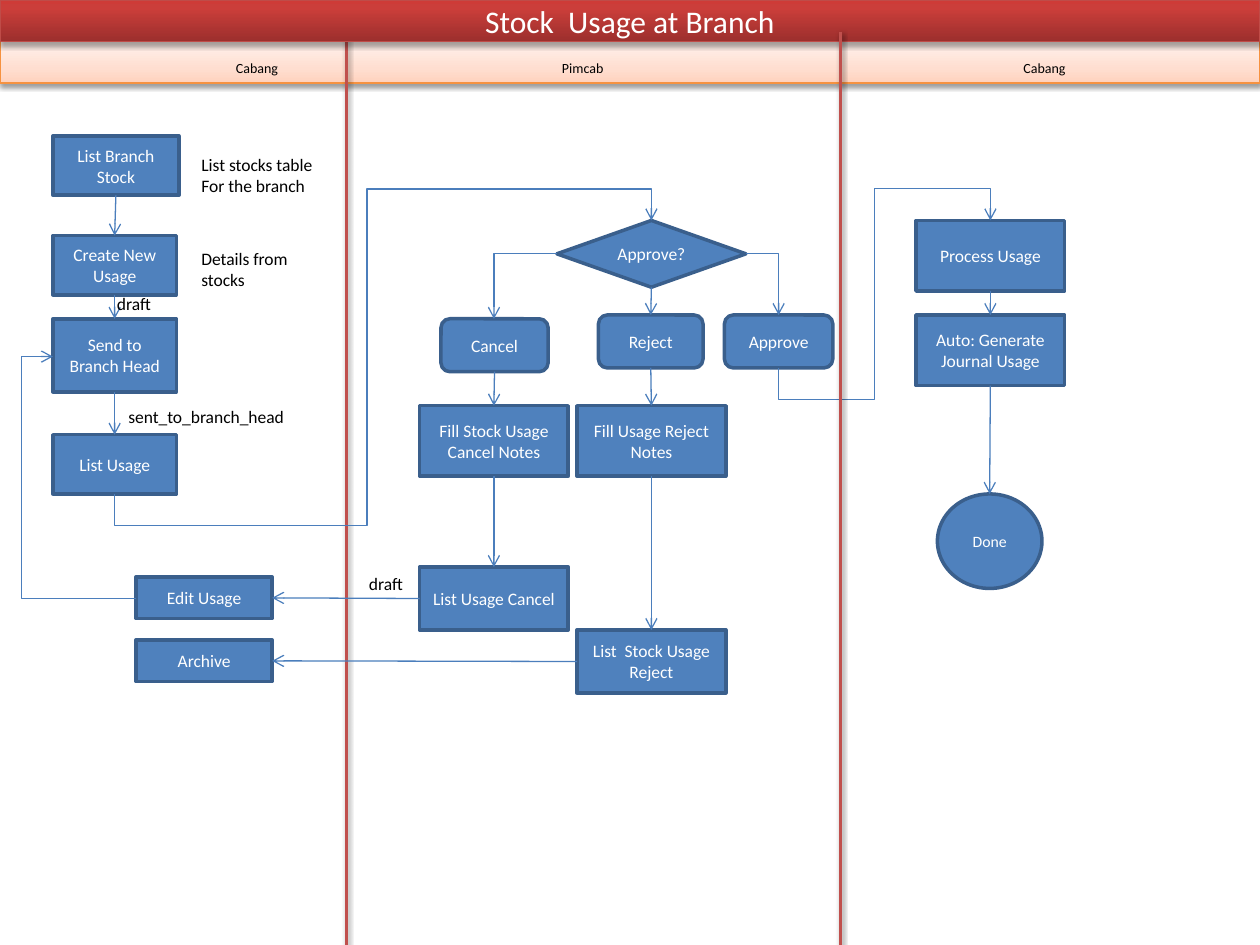
from dataclasses import dataclass

from lxml.etree import SubElement
from pptx import Presentation
from pptx.dml.color import RGBColor
from pptx.enum.shapes import MSO_CONNECTOR, MSO_SHAPE
from pptx.enum.text import MSO_ANCHOR, MSO_AUTO_SIZE, PP_ALIGN
from pptx.oxml.ns import qn
from pptx.util import Inches, Pt

FONT = "Calibri"
COLORS = {
    "white": "FFFFFF", "black": "000000", "node": "4F81BD", "node_line": "3A5F8C",
    "arrow": "4B7EBC", "divider": "C0504D", "title_line": "BF4C48", "band_line": "F69240",
}
TITLE_GRADIENT = ((0, "9C2F2D"), (80, "CB3E3A"), (100, "CE3B37"))
BAND_GRADIENT = ((0, "FFD2BD"), (35, "FFDED0"), (100, "FFF2ED"))
TOP, LEFT, BOTTOM, RIGHT = range(4)
PROCESS = MSO_SHAPE.FLOWCHART_PROCESS
CHOICE = MSO_SHAPE.FLOWCHART_ALTERNATE_PROCESS


@dataclass(frozen=True)
class Node:
    name: str
    text: str
    left: float
    top: float
    width: float
    height: float
    kind: MSO_SHAPE = PROCESS
    size: float = 10


@dataclass(frozen=True)
class Link:
    source: str
    source_side: int
    target: str
    target_side: int


@dataclass(frozen=True)
class Elbow:
    begin: tuple[float, float]
    end: tuple[float, float]
    rotation: int
    preset: str
    adjustments: tuple[float, ...] = ()


@dataclass(frozen=True)
class Label:
    text: str
    left: float
    top: float
    width: float
    height: float = 0.27
    size: float = 10
    align: PP_ALIGN = PP_ALIGN.LEFT


NODES = (
    # Branch lane
    Node("stock", "List Branch Stock", 0.42, 1.08, 1, 0.47),
    Node("create", "Create New Usage", 0.42, 1.87, 0.98, 0.47),
    Node("send", "Send to Branch Head", 0.42, 2.53, 0.98, 0.58),
    Node("usage", "List Usage", 0.42, 3.45, 0.98, 0.47),
    Node("edit", "Edit Usage", 1.08, 4.58, 1.08, 0.33),
    Node("archive", "Archive", 1.08, 5.08, 1.08, 0.33),
    # Branch head lane
    Node("decision", "Approve?", 4.42, 1.75, 1.5, 0.53, MSO_SHAPE.FLOWCHART_DECISION),
    Node("cancel", "Cancel", 3.5, 2.53, 0.85, 0.42, CHOICE),
    Node("reject", "Reject", 4.75, 2.5, 0.83, 0.42, CHOICE),
    Node("approve", "Approve", 5.75, 2.5, 0.86, 0.42, CHOICE),
    Node("cancel_notes", "Fill Stock Usage Cancel Notes", 3.33, 3.22, 1.18, 0.56),
    Node("reject_notes", "Fill Usage Reject Notes", 4.58, 3.22, 1.18, 0.56),
    Node("cancel_list", "List Usage Cancel", 3.33, 4.5, 1.18, 0.5),
    Node("reject_list", "List  Stock Usage Reject", 4.58, 5, 1.18, 0.5),
    # Processing lane
    Node("process", "Process Usage", 7.27, 1.75, 1.18, 0.56),
    Node("journal", "Auto: Generate Journal Usage", 7.27, 2.5, 1.18, 0.56),
    Node("done", "Done", 7.44, 3.92, 0.83, 0.75, MSO_SHAPE.OVAL, 9),
)
DOWNWARD = (
    ("stock", "create"), ("create", "send"), ("send", "usage"), ("decision", "reject"),
    ("cancel", "cancel_notes"), ("reject", "reject_notes"),
    ("cancel_notes", "cancel_list"), ("reject_notes", "reject_list"),
    ("process", "journal"), ("journal", "done"),
)
LEFTWARD = (("cancel_list", "edit"), ("reject_list", "archive"))
LINKS = [Link(source, BOTTOM, target, TOP) for source, target in DOWNWARD]
LINKS += [Link(source, LEFT, target, RIGHT) for source, target in LEFTWARD]
ELBOWS = (
    Elbow((0.91, 3.92), (5.17, 1.75), 90, "bentConnector5", (-0.115, 0.47, 1.115)),
    Elbow((5.92, 2.01), (6.18, 2.5), 0, "bentConnector2"),
    Elbow((4.42, 2.01), (3.92, 2.53), 180, "bentConnector2"),
    Elbow((1.08, 4.75), (0.42, 2.83), 180, "bentConnector3", (1.375,)),
    Elbow((6.18, 2.92), (7.86, 1.75), 90, "bentConnector5", (-0.214, 0.452, 1.214)),
)
LABELS = (
    Label("Cabang", 0.33, 0.42, 3.42, 0.24, 8, PP_ALIGN.CENTER),
    Label("Pimcab", 2.75, 0.42, 3.75, 0.24, 8, PP_ALIGN.CENTER),
    Label("Cabang", 6.58, 0.42, 3.42, 0.24, 8, PP_ALIGN.CENTER),
    Label("draft", 0.83, 2.28, 0.57),
    Label("sent_to_branch_head", 0.92, 3.17, 1.58),
    Label("draft", 2.83, 4.5, 0.57),
    Label("List stocks table\nFor the branch", 1.5, 1.17, 1.17, 0.44),
    Label("Details from stocks", 1.5, 1.92, 1.17, 0.44),
)


def color(name: str) -> RGBColor:
    return RGBColor.from_string(COLORS[name])


def write(shape, text: str, *, size: float = 10, font_color: str = "white",
          align: PP_ALIGN = PP_ALIGN.CENTER, anchor: MSO_ANCHOR = MSO_ANCHOR.MIDDLE) -> None:
    frame = shape.text_frame
    frame.word_wrap = True
    frame.vertical_anchor = anchor
    frame.text = text
    for paragraph in frame.paragraphs:
        paragraph.alignment = align
        paragraph.font.name = FONT
        paragraph.font.size = Pt(size)
        paragraph.font.color.rgb = color(font_color)


def add_shadow(effects, opacity: int, distance: float) -> None:
    shadow = SubElement(effects, qn("a:outerShdw"), blurRad=str(Pt(3.1)), dist=str(Pt(distance)),
                        dir="5400000", rotWithShape="0")
    black = SubElement(shadow, qn("a:srgbClr"), val=COLORS["black"])
    SubElement(black, qn("a:alpha"), val=str(opacity * 1000))


def add_box(slide, kind: MSO_SHAPE, left: float, top: float, width: float, height: float,
            line_color: str, line_width: float):
    shape = slide.shapes.add_shape(kind, Inches(left), Inches(top), Inches(width), Inches(height))
    shape.shadow.inherit = False
    shape.line.color.rgb = color(line_color)
    shape.line.width = Pt(line_width)
    return shape


def add_band(slide, top: float, gradient: tuple, line_color: str, opacity: int, distance: float):
    band = add_box(slide, MSO_SHAPE.RECTANGLE, 0, top, 10, 0.33, line_color, 0.75)
    band.fill.gradient()
    band.fill.gradient_angle = 90
    properties = band._element.spPr
    stops = properties.find(".//" + qn("a:gsLst"))
    for stop in list(stops):
        stops.remove(stop)
    for position, value in gradient:
        stop = SubElement(stops, qn("a:gs"), pos=str(position * 1000))
        SubElement(stop, qn("a:srgbClr"), val=value)
    add_shadow(properties.find(qn("a:effectLst")), opacity, distance)
    return band


def add_line(slide, kind: MSO_CONNECTOR, begin: tuple, end: tuple, line_color: str, width: float):
    connector = slide.shapes.add_connector(kind, *(Inches(value) for value in (*begin, *end)))
    connector.line.color.rgb = color(line_color)
    connector.line.width = Pt(width)
    SubElement(connector._element.spPr, qn("a:effectLst"))
    return connector


def add_divider(slide, x: float, top: float) -> None:
    divider = add_line(slide, MSO_CONNECTOR.STRAIGHT, (x, top), (x, 7.5), "divider", 2)
    add_shadow(divider._element.spPr.find(qn("a:effectLst")), 38, 1.6)


def add_arrow(slide, kind: MSO_CONNECTOR, begin: tuple, end: tuple):
    arrow = add_line(slide, kind, begin, end, "arrow", 0.75)
    SubElement(arrow._element.spPr.find(qn("a:ln")), qn("a:tailEnd"), type="arrow")
    return arrow


def add_link(slide, link: Link, shapes: dict) -> None:
    arrow = add_arrow(slide, MSO_CONNECTOR.STRAIGHT, (0, 0), (1, 1))
    arrow.begin_connect(shapes[link.source], link.source_side)
    arrow.end_connect(shapes[link.target], link.target_side)


def add_elbow(slide, elbow: Elbow) -> None:
    (x1, y1), (x2, y2) = elbow.begin, elbow.end
    middle_x, middle_y = (x1 + x2) / 2, (y1 + y2) / 2
    half_x, half_y = (x2 - x1) / 2, (y2 - y1) / 2
    # Undo the rotation, so that the rotated connector meets both ends
    for _ in range(elbow.rotation // 90):
        half_x, half_y = half_y, -half_x
    arrow = add_arrow(slide, MSO_CONNECTOR.ELBOW, (middle_x - half_x, middle_y - half_y),
                      (middle_x + half_x, middle_y + half_y))
    properties = arrow._element.spPr
    properties.find(qn("a:xfrm")).set("rot", str(elbow.rotation * 60000))
    geometry = properties.find(qn("a:prstGeom"))
    geometry.set("prst", elbow.preset)
    guides = geometry.find(qn("a:avLst"))
    for number, value in enumerate(elbow.adjustments, 1):
        SubElement(guides, qn("a:gd"), name=f"adj{number}", fmla=f"val {round(value * 100000)}")


def add_node(slide, node: Node):
    shape = add_box(slide, node.kind, node.left, node.top, node.width, node.height, "node_line", 2)
    shape.fill.solid()
    shape.fill.fore_color.rgb = color("node")
    write(shape, node.text, size=node.size)
    return shape


def add_label(slide, label: Label) -> None:
    box = slide.shapes.add_textbox(Inches(label.left), Inches(label.top),
                                   Inches(label.width), Inches(label.height))
    write(box, label.text, size=label.size, font_color="black", align=label.align,
          anchor=MSO_ANCHOR.TOP)
    box.text_frame.auto_size = MSO_AUTO_SIZE.SHAPE_TO_FIT_TEXT


def main() -> None:
    presentation = Presentation()
    presentation.slide_width, presentation.slide_height = Inches(10), Inches(7.5)
    slide = presentation.slides.add_slide(presentation.slide_layouts[6])

    # Header bands and lane dividers
    add_band(slide, 0.33, BAND_GRADIENT, "band_line", 38, 1.6)
    add_divider(slide, 2.75, 0)
    title = add_band(slide, 0, TITLE_GRADIENT, "title_line", 35, 1.8)
    write(title, "Stock  Usage at Branch", size=18)

    # Flowchart
    shapes = {node.name: add_node(slide, node) for node in NODES}
    for link in LINKS:
        add_link(slide, link, shapes)
    for elbow in ELBOWS:
        add_elbow(slide, elbow)
    add_divider(slide, 6.67, 0.25)
    for label in LABELS:
        add_label(slide, label)

    presentation.save("out.pptx")


if __name__ == "__main__":
    main()
